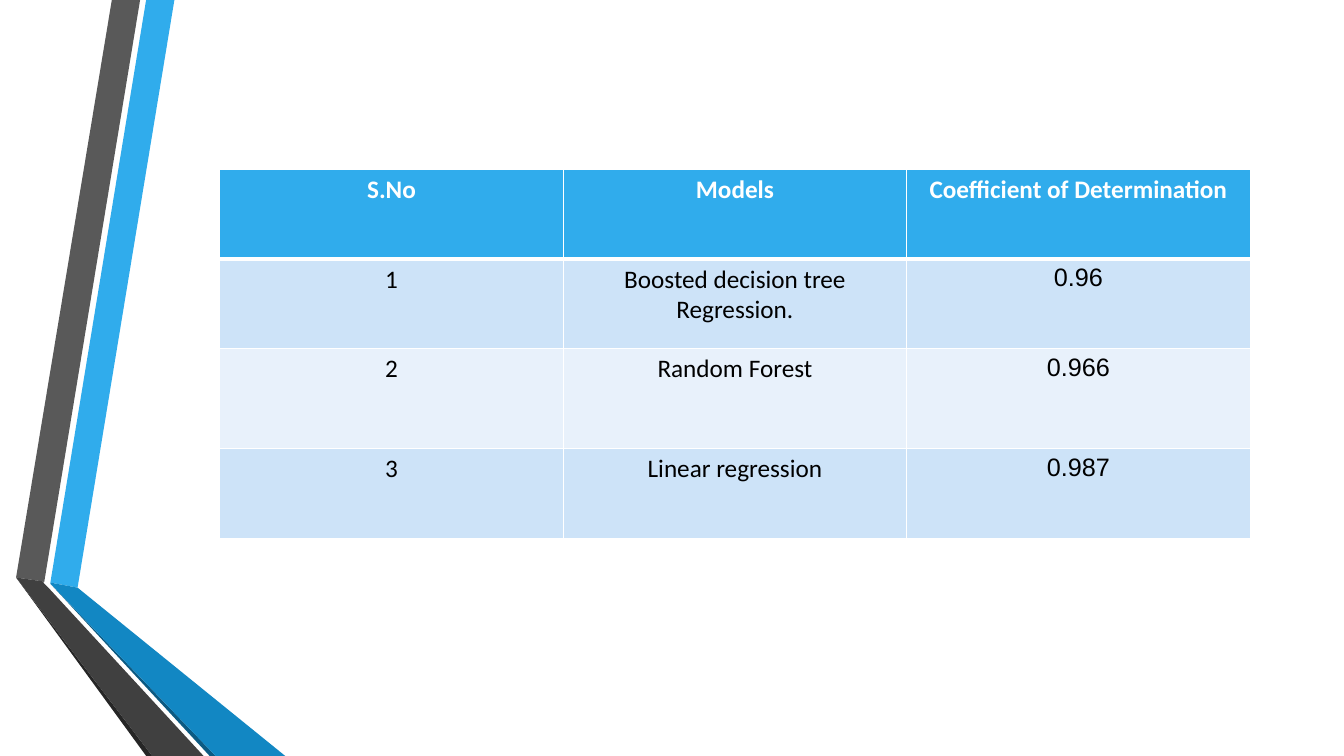
from lxml.etree import SubElement as Sub
from pptx import Presentation as Deck
from pptx.dml.color import RGBColor as Rgb
from pptx.enum.text import PP_ALIGN as Align
from pptx.oxml.ns import qn
from pptx.util import Inches, Pt

HUES = {
    "white": "FFFFFF", "black": "000000",
    "blue": "30ACEC", "deep": "1287C3", "navy": "0C5A82",
    "gray": "595959", "dark": "404040", "coal": "262626",
    "band": "CDE3F8", "pale": "E8F1FB",
}

BANDS = [
    ("blue", [(0.5, 5.78), (0.77, 5.83), (1.73, 0), (1.45, 0)]),
    ("gray", [(1.39, 0), (1.11, 0), (0.16, 5.73), (0.44, 5.77)]),
    ("coal", [(0.16, 5.73), (1.45, 7.5), (1.51, 7.5)]),
    ("navy", [(0.5, 5.79), (2.08, 7.5), (2.14, 7.5)]),
    ("deep", [(0.5, 5.79), (2.14, 7.5), (2.83, 7.5), (0.77, 5.83), (0.5, 5.78)]),
    ("dark", [(2.02, 7.5), (0.48, 5.83), (0.43, 5.78), (0.44, 5.77),
              (0.16, 5.73), (1.51, 7.5)]),
]

ROWS = [
    ("S.No", "Models", "Coefficient of Determination"),
    ("1", "Boosted decision tree Regression.", "0.96"),
    ("2", "Random Forest", "0.966"),
    ("3", "Linear regression", "0.987"),
]
HIGHS = [0.89, 0.89, 0.99, 0.89]


class Page:
    def __init__(self, slide):
        self.slide = slide
        self.size = Pt(18)

    def tint(self, fill, hue):
        fill.solid()
        fill.fore_color.rgb = Rgb.from_string(HUES[hue])

    def band(self, hue, spots):
        first, *rest = [(Inches(x), Inches(y)) for x, y in spots]
        pen = self.slide.shapes.build_freeform(*first)
        pen.add_line_segments(rest, close=True)
        shape = pen.convert_to_shape()
        shape.shadow.inherit = False
        shape.line.fill.background()
        self.tint(shape.fill, hue)

    def edge(self, cell, base):
        """Draw white cell borders; base is the bottom width in points."""
        props = cell._tc.get_or_add_tcPr()
        for side, wide in zip("LRTB", (1, 1, 1, base)):
            line = Sub(props, qn("a:ln" + side), w=str(Pt(wide)))
            Sub(Sub(line, qn("a:solidFill")), qn("a:srgbClr"), val=HUES["white"])

    def cell(self, cell, text, hue, font, head):
        self.edge(cell, 3 if head else 1)
        self.tint(cell.fill, hue)
        para = cell.text_frame.paragraphs[0]
        para.alignment = Align.CENTER
        run = para.add_run()
        run.text = text
        look = {"name": font, "size": self.size, "bold": head}
        for key, val in look.items():
            setattr(run.font, key, val)
        self.tint(run.font.fill, "white" if head else "black")

    def table(self, rows, left, top, wide, highs):
        box = [Inches(n) for n in (left, top, wide, sum(highs))]
        grid = self.slide.shapes.add_table(len(rows), len(rows[0]), *box).table
        for col in grid.columns:
            col.width = Inches(wide / len(rows[0]))
        for r, row in enumerate(rows):
            grid.rows[r].height = Inches(highs[r])
            head = r == 0
            hue = "blue" if head else ("pale", "band")[r % 2]
            for c, text in enumerate(row):
                font = "Arial" if c == 2 and not head else "Calibri"
                self.cell(grid.cell(r, c), text, hue, font, head)


def main():
    deck = Deck()
    deck.slide_width, deck.slide_height = Inches(13.33), Inches(7.5)
    page = Page(deck.slides.add_slide(deck.slide_layouts[6]))
    page.tint(page.slide.background.fill, "white")
    for hue, spots in BANDS:
        page.band(hue, spots)
    page.table(ROWS, 2.18, 1.68, 10.22, HIGHS)
    deck.save("out.pptx")


if __name__ == "__main__":
    main()
